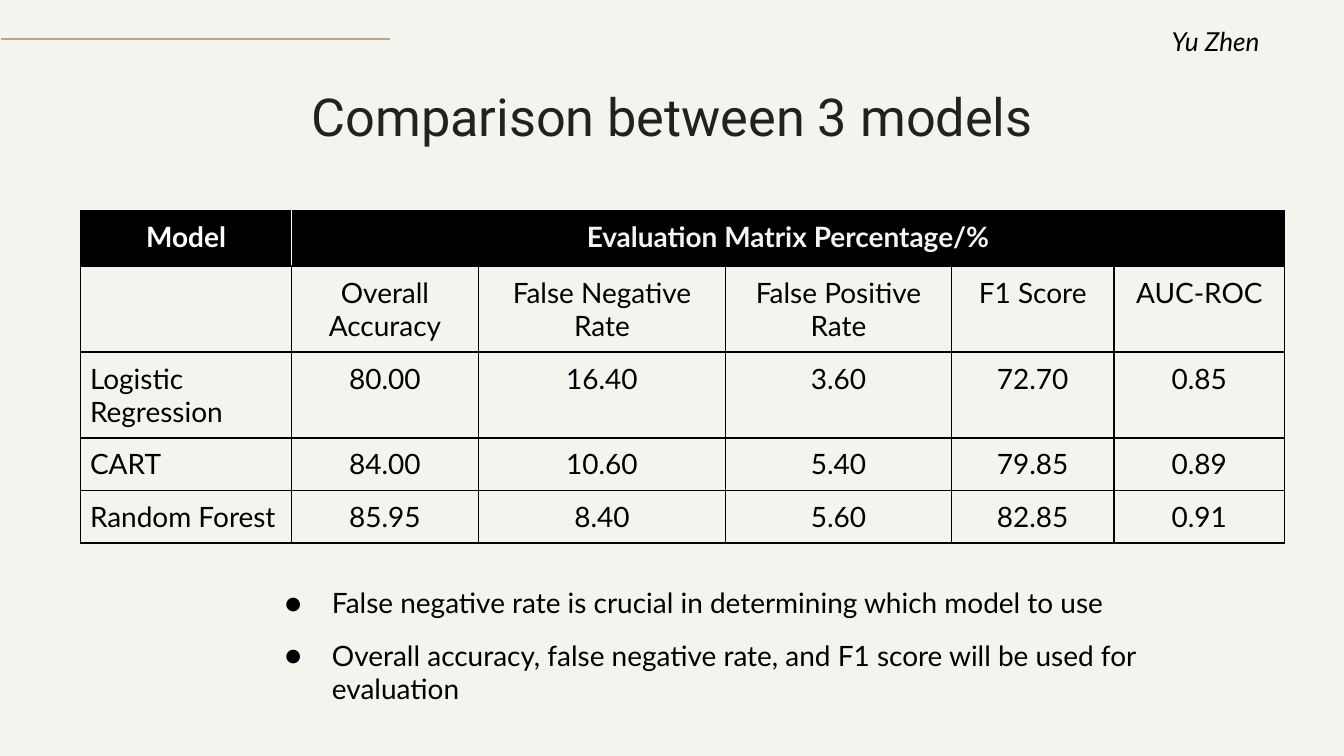
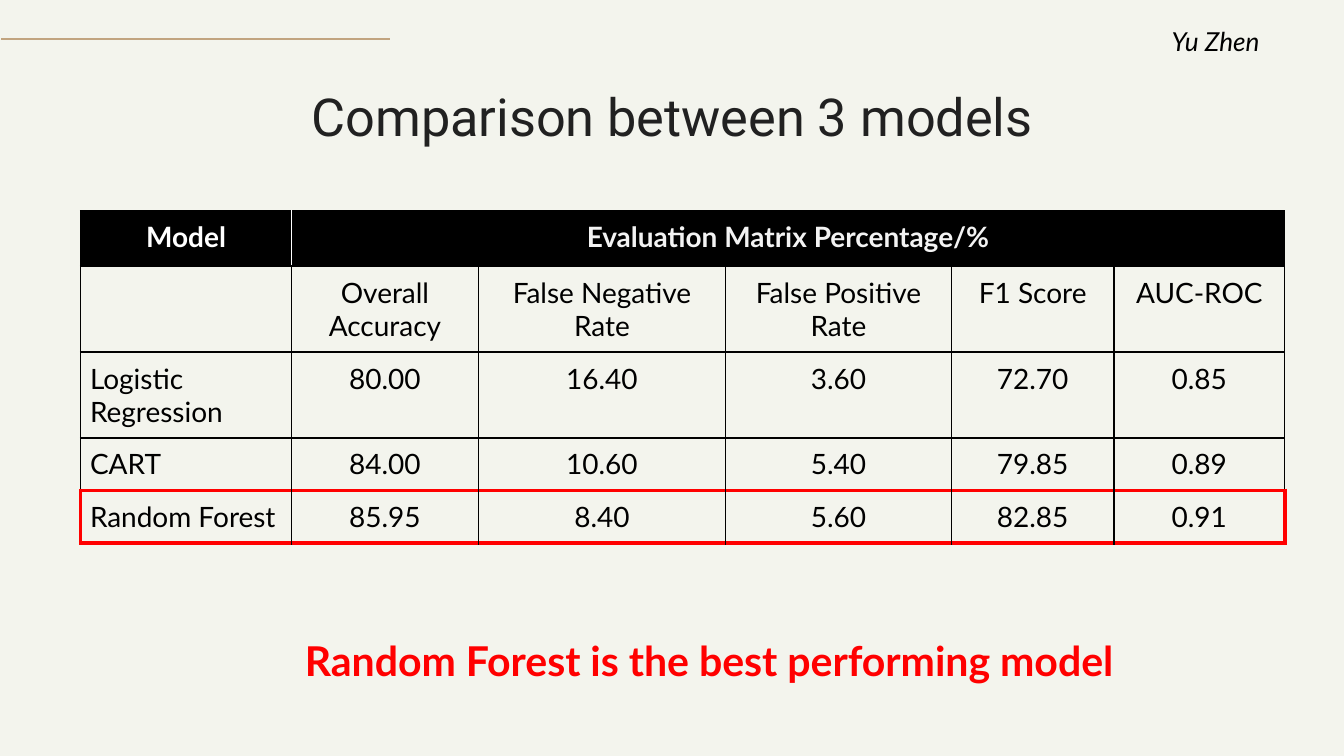
from dataclasses import dataclass

from lxml import etree
from pptx import Presentation
from pptx import util as u
from pptx.dml.color import RGBColor
from pptx.enum import shapes, text
from pptx.oxml.ns import qn

PX = u.Inches(1) // 200  # every length below is in px, 200 to the inch

PAPER, GOLD, INK = "F3F4ED", "C1A480", "212121"
BLACK, WHITE, PALE, RED = "000000", "FFFFFF", "F3F3F3", "FF0000"
CENTER, JUSTIFY, LEFT = (text.PP_ALIGN.CENTER, text.PP_ALIGN.JUSTIFY,
                         text.PP_ALIGN.LEFT)


@dataclass(frozen=True)
class Box:
    left: int
    top: int
    width: int
    height: int

    def emu(self) -> list[int]:
        return [n * PX for n in (self.left, self.top, self.width, self.height)]


@dataclass(frozen=True)
class Style:
    size: int
    color: str = BLACK
    font: str = "Lato"
    bold: bool = False
    italic: bool = False
    align: text.PP_ALIGN = LEFT


@dataclass(frozen=True)
class Border:
    color: str = BLACK
    points: float = 1


TITLE = Style(28, INK, "Roboto", align=CENTER)
AUTHOR = Style(14, italic=True, align=CENTER)
FINDING = Style(15)
VERDICT = Style(22, RED, bold=True)
MODEL_HEAD = Style(15, WHITE, bold=True, align=CENTER)
MATRIX_HEAD = Style(15, PALE, bold=True, align=CENTER)
MODEL_NAME = Style(15, align=JUSTIFY)
SCORE = Style(15, align=CENTER)

GRID, HEAD_SPLIT = Border(), Border(WHITE)
WINNER, WINNER_INNER = Border(RED, 2.25), Border(BLACK, 0.75)

COLUMNS = (314, 278, 368, 336, 242, 254)
ROWS = (82, 128, 128, 77, 77)
TABLE = Box(120, 314, sum(COLUMNS), sum(ROWS))
RESULTS = (
    ("Model", "Evaluation Matrix Percentage/%", "", "", "", ""),
    ("", "Overall Accuracy", "False Negative Rate", "False Positive Rate",
     "F1 Score", "AUC-ROC"),
    ("Logistic Regression", "80.00", "16.40", "3.60", "72.70", "0.85"),
    ("CART", "84.00", "10.60", "5.40", "79.85", "0.89"),
    ("Random Forest", "85.95", "8.40", "5.60", "82.85", "0.91"),
)
FINDINGS = (
    "False negative rate is crucial in determining which model to use",
    "Overall accuracy, false negative rate, and F1 score will be used for "
    "evaluation",
)


def rgb(color: str) -> RGBColor:
    return RGBColor.from_string(color)


def format_paragraph(paragraph, style: Style) -> None:
    paragraph.alignment = style.align
    for run in paragraph.runs:
        font = run.font
        font.size, font.name = u.Pt(style.size), style.font
        font.bold, font.italic = style.bold, style.italic
        font.color.rgb = rgb(style.color)


def set_frame(frame, anchor=text.MSO_ANCHOR.TOP,
              fit=text.MSO_AUTO_SIZE.SHAPE_TO_FIT_TEXT) -> None:
    frame.word_wrap, frame.auto_size = True, fit
    frame.vertical_anchor = anchor
    frame.margin_left = frame.margin_right = 20 * PX
    frame.margin_top = frame.margin_bottom = 20 * PX


def place(shape, box: Box) -> None:
    shape.left, shape.top, shape.width, shape.height = box.emu()


def add_note(slide, box: Box, words: str, style: Style):
    frame = slide.shapes.add_textbox(*box.emu()).text_frame
    set_frame(frame)
    frame.text = words
    format_paragraph(frame.paragraphs[0], style)
    return frame.paragraphs[0]


# Shared frame: title, accent line, author
def add_frame(prs, layout: int):
    slide = prs.slides.add_slide(prs.slide_layouts[layout])
    accent = slide.shapes.add_connector(
        shapes.MSO_CONNECTOR.STRAIGHT, 2 * PX, 58 * PX, 580 * PX, 58 * PX)
    accent.line.color.rgb, accent.line.width = rgb(GOLD), u.Pt(1.5)
    properties = accent._element.find(qn("p:spPr"))
    etree.SubElement(properties, qn("a:effectLst"))

    title = slide.shapes.title
    place(title, Box(156, 120, 1688, 104))
    title.text_frame.text = "Comparison between 3 models"
    set_frame(title.text_frame, text.MSO_ANCHOR.MIDDLE, text.MSO_AUTO_SIZE.NONE)
    format_paragraph(title.text_frame.paragraphs[0], TITLE)

    add_note(slide, Box(1618, 18, 382, 88), "Yu Zhen", AUTHOR)
    return slide


# Results table
def set_borders(cell, borders: dict[str, Border]) -> None:
    properties = cell._tc.get_or_add_tcPr()
    for side in "LRTB":
        border = borders[side]
        line = etree.SubElement(properties, qn(f"a:ln{side}"),
                                w=str(u.Pt(border.points)))
        fill = etree.SubElement(line, qn("a:solidFill"))
        etree.SubElement(fill, qn("a:srgbClr"), val=border.color)


def cell_borders(row: int, column: int, mark_winner: bool) -> dict[str, Border]:
    borders = dict.fromkeys("LRTB", GRID)
    last_row, last_column = len(ROWS) - 1, len(COLUMNS) - 1
    if row == 0 and column < 2:
        borders["R" if column == 0 else "L"] = HEAD_SPLIT
    if mark_winner and row == last_row - 1:
        borders["B"] = WINNER
    if mark_winner and row == last_row:
        borders = {"T": WINNER, "B": WINNER,
                   "L": WINNER if column == 0 else WINNER_INNER,
                   "R": WINNER if column == last_column else WINNER_INNER}
    return borders


def cell_style(row: int, column: int) -> Style:
    if row == 0:
        return MODEL_HEAD if column == 0 else MATRIX_HEAD
    return MODEL_NAME if column == 0 else SCORE


def add_results(slide, mark_winner: bool = False) -> None:
    table = slide.shapes.add_table(len(ROWS), len(COLUMNS), *TABLE.emu()).table
    table.first_row = table.horz_banding = False
    for column, width in zip(table.columns, COLUMNS):
        column.width = width * PX
    for row, height in zip(table.rows, ROWS):
        row.height = height * PX
    for r, values in enumerate(RESULTS):
        for c, value in enumerate(values):
            cell = table.cell(r, c)
            cell.margin_left = cell.margin_right = 14 * PX
            cell.margin_top = cell.margin_bottom = 14 * PX
            set_borders(cell, cell_borders(r, c, mark_winner))
            if r == 0:
                cell.fill.solid()
                cell.fill.fore_color.rgb = rgb(BLACK)
            else:
                cell.fill.background()
            if value:
                cell.text_frame.text = value
                format_paragraph(cell.text_frame.paragraphs[0], cell_style(r, c))
    table.cell(0, 1).merge(table.cell(0, len(COLUMNS) - 1))


# Bulleted findings
def add_findings(slide) -> None:
    body = slide.placeholders[1]
    place(body, Box(374, 852, 1408, 220))
    frame = body.text_frame
    frame.text = "\n".join(FINDINGS)
    set_frame(frame)
    for i, paragraph in enumerate(frame.paragraphs):
        properties = paragraph._p.get_or_add_pPr()
        properties.set("marL", str(100 * PX))
        properties.set("indent", str(-70 * PX))
        color = etree.SubElement(properties, qn("a:buClr"))
        etree.SubElement(color, qn("a:srgbClr"), val=BLACK)
        etree.SubElement(properties, qn("a:buFont"), typeface="Lato")
        etree.SubElement(properties, qn("a:buChar"), char="●")
        paragraph.space_before = paragraph.space_after = u.Pt(10 if i else 0)
        format_paragraph(paragraph, FINDING)


def main() -> None:
    prs = Presentation()
    prs.slide_width, prs.slide_height = 2000 * PX, 1125 * PX
    background = prs.slide_master.background.fill
    background.solid()
    background.fore_color.rgb = rgb(PAPER)

    # Slide 1: the scores and how to read them
    comparison = add_frame(prs, layout=1)
    add_results(comparison)
    add_findings(comparison)

    # Slide 2: the winning model
    conclusion = add_frame(prs, layout=5)
    add_results(conclusion, mark_winner=True)
    verdict = add_note(conclusion, Box(434, 926, 1286, 114),
                       "Random Forest is the best performing model", VERDICT)
    verdict.space_after = u.Pt(10)

    prs.save("out.pptx")


if __name__ == "__main__":
    main()
